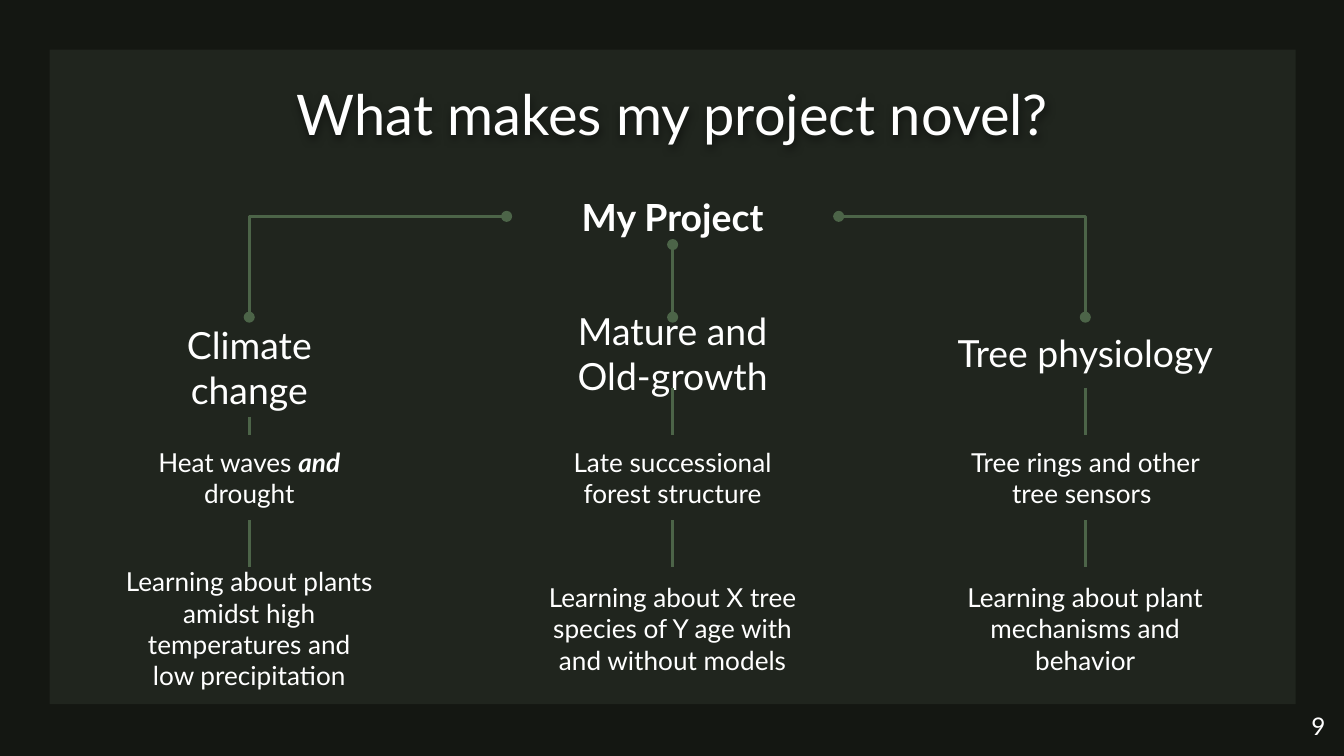
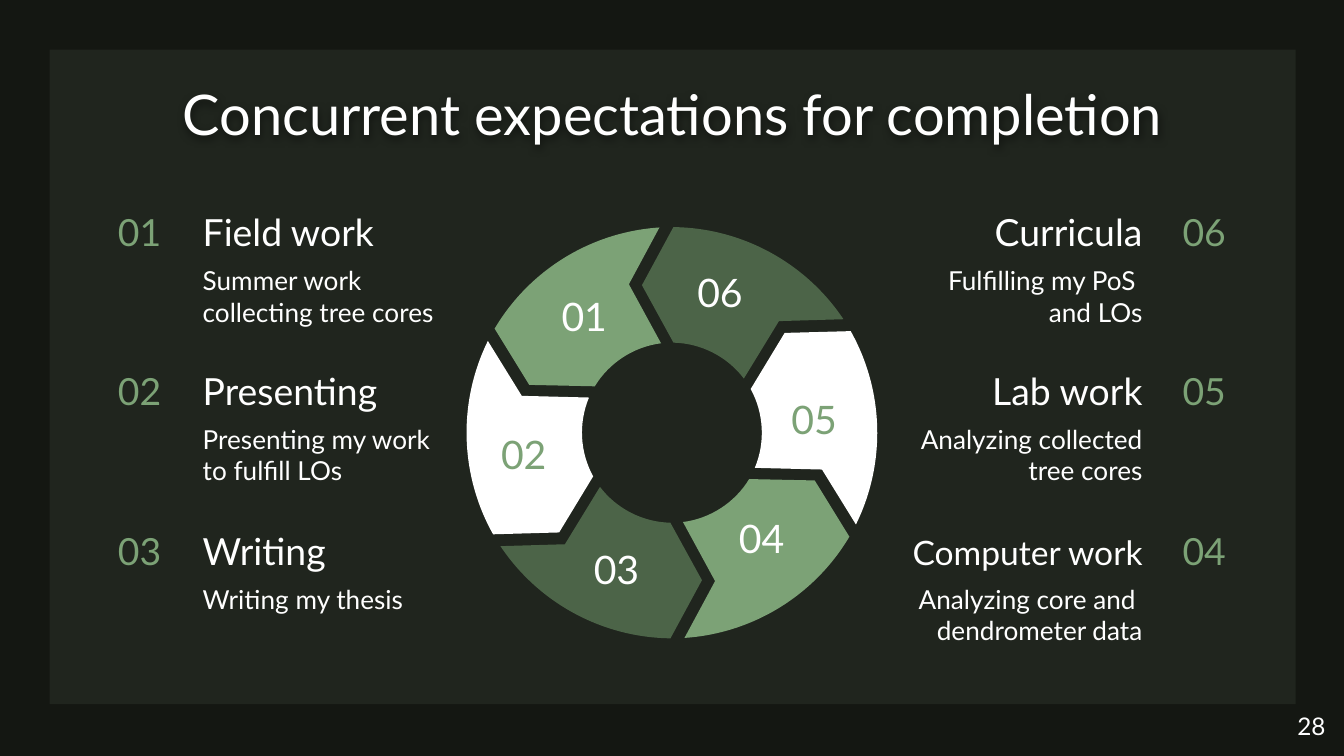
from math import cos, radians, sin

from lxml.etree import SubElement
from pptx import Presentation
from pptx.dml.color import RGBColor
from pptx.enum.shapes import MSO_CONNECTOR, MSO_SHAPE
from pptx.enum.text import MSO_ANCHOR, MSO_AUTO_SIZE, PP_ALIGN
from pptx.oxml import parse_xml
from pptx.oxml.ns import nsdecls, qn
from pptx.util import Pt

PX = 9144  # 100 px to the inch
FONT = "Lato"
HEX = {"back": "141712", "panel": "20251E", "white": "FFFFFF", "sage": "7CA276", "moss": "4C6448"}
INK = {name: RGBColor.from_string(code) for name, code in HEX.items()}
LEFT, MID, RIGHT = PP_ALIGN.LEFT, PP_ALIGN.CENTER, PP_ALIGN.RIGHT
TOP, CENTER, BASE = MSO_ANCHOR.TOP, MSO_ANCHOR.MIDDLE, MSO_ANCHOR.BOTTOM
SHADE = (
    f'<a:effectLst {nsdecls("a")}><a:outerShdw blurRad="57150" dist="19050" dir="5400000">'
    '<a:srgbClr val="000000"><a:alpha val="50000"/></a:srgbClr></a:outerShdw></a:effectLst>'
)


def fill(frame, text, size, color="white", align=MID, anchor=CENTER, bold=None):
    """Write text into a frame; parts between stars are bold italic."""
    frame.word_wrap = True
    frame.auto_size = MSO_AUTO_SIZE.NONE
    frame.vertical_anchor = anchor
    frame.margin_left = frame.margin_right = 10 * PX
    frame.margin_top = frame.margin_bottom = 10 * PX
    para = frame.paragraphs[0]
    para.alignment = align
    for row, line in enumerate(text.split("\n")):
        if row:
            para.add_line_break()
        for part, words in enumerate(line.split("*")):
            run = para.add_run()
            run.text = words
            font = run.font
            font.name, font.size = FONT, Pt(size)
            font.color.rgb = INK[color]
            font.bold = True if part % 2 else bold
            font.italic = True if part % 2 else None


def label(slide, x, y, w, h, text, size, **style):
    box = slide.shapes.add_textbox(x * PX, y * PX, w * PX, h * PX)
    fill(box.text_frame, text, size, **style)
    return box


# Shared frame: dark page, panel, title and page number
deck = Presentation()
deck.slide_width = 1000 * PX
deck.slide_height = deck.slide_width * 9 // 16
layout = deck.slide_layouts[5]
layout.background.fill.solid()
layout.background.fill.fore_color.rgb = INK["back"]

slides = []
for head, page in (("What makes my project novel?", "9"),
                   ("Concurrent expectations for completion", "28")):
    slide = deck.slides.add_slide(layout)
    title = slide.shapes.title
    title.left, title.top, title.width, title.height = 79 * PX, 49 * PX, 843 * PX, 63 * PX
    fill(title.text_frame, head, 30, anchor=TOP)
    title.element.find(qn("p:spPr")).append(parse_xml(SHADE))
    label(slide, 936, 519, 60, 43, page, 13, align=RIGHT, anchor=TOP)
    slides.append(slide)
novel, tasks = slides

panel = novel.shapes.add_shape(MSO_SHAPE.RECTANGLE, 37 * PX, 37 * PX, 927 * PX, 487 * PX)
panel.fill.solid()
panel.fill.fore_color.rgb = INK["panel"]
panel.line.fill.background()
panel.shadow.inherit = False
layout.shapes.element.insert(2, panel.element)

# Slide 1: tree of three branches
COL = 205
root = label(novel, 377, 140, 247, 42, "My Project", 20, bold=True)
branches = [
    # left, root site, topic (width, height, text), detail, goal width, goal
    (83, 1, (COL, 74, "Climate change"), "Heat waves *and *drought",
     COL, "Learning about plants amidst high temperatures and low precipitation"),
    (398, 2, (COL, 53, "Mature and Old-growth"), "Late successional forest structure",
     231, "Learning about X tree species of Y age with and without models"),
    (705, 3, (291, 53, "Tree physiology"), "Tree rings and other tree sensors ",
     COL, "Learning about plant mechanisms and behavior"),
]
for x, site, (wide, high, name), detail, span, goal in branches:
    topic = label(novel, x + (COL - wide) // 2, 236, wide, high, name, 20)
    note = label(novel, x, 324, COL, 63, detail, 14)
    aim = label(novel, x + (COL - span) // 2, 422, span, 91, goal, 14)
    for start, port, end in ((root, site, topic), (topic, 2, note), (note, 2, aim)):
        bent = port != 2
        kind = MSO_CONNECTOR.ELBOW if bent else MSO_CONNECTOR.STRAIGHT
        link = novel.shapes.add_connector(kind, 0, 0, 0, 0)
        link.begin_connect(start, port)
        link.end_connect(end, 0)
        link.line.color.rgb = INK["moss"]
        link.line.width = Pt(1.5)
        props = link.element.find(qn("p:spPr"))
        if bent:
            props.find(qn("a:prstGeom")).set("prst", "bentConnector2")
        if start is root:
            for tip in ("a:headEnd", "a:tailEnd"):
                SubElement(props.find(qn("a:ln")), qn(tip), type="oval")
        SubElement(props, qn("a:effectLst"))

# Slide 2: ring of six arrows, each turned 60 degrees from the last
HUB = (500, 322)
# One arrow as (radius, degrees clockwise from the top); both arcs are Bezier curves
arrow = [
    (153, 0.4), (161, 18.8), (161, 38.1), (153, 56.5),
    (115, 43.8),
    (67, 53), (70, 36), (70, 18), (67, 1),
    (112, -11.5),
]
CURVES = (0, 5)  # first of the three segments that make each arc
ring = [  # number, fill, text colour, number corner
    ("06", "moss", "white", 509, 196),
    ("05", "white", "sage", 579, 291),
    ("04", "sage", "white", 540, 379),
    ("03", "moss", "white", 432, 402),
    ("02", "white", "sage", 363, 317),
    ("01", "sage", "white", 408, 214),
]
group = tasks.shapes.add_group_shape()
for step, (number, tint, ink, x, y) in enumerate(ring):
    dots = []
    for size, turn in arrow:
        angle = radians(turn + 60 * step)
        dots.append((round((HUB[0] + size * sin(angle)) * PX),
                     round((HUB[1] - size * cos(angle)) * PX)))
    pen = group.shapes.build_freeform(*dots[0])
    pen.add_line_segments(dots[1:])
    piece = pen.convert_to_shape()
    lines = piece.element.findall(".//" + qn("a:lnTo"))
    for first in CURVES:
        curve = parse_xml(f'<a:cubicBezTo {nsdecls("a")}/>')
        lines[first].addprevious(curve)
        for line in lines[first:first + 3]:
            curve.append(line[0])
            line.getparent().remove(line)
    piece.fill.solid()
    piece.fill.fore_color.rgb = INK[tint]
    piece.line.fill.background()
    piece.shadow.inherit = False
    label(tasks, x, y, 60, 42, number, 21, color=ink, align=LEFT)

sides = [  # number left, text left, alignment, entries
    (78, 141, LEFT, [
        ("01", "Field work", 20, "Summer work collecting tree cores"),
        ("02", "Presenting", 20, "Presenting my work to fulfill LOs"),
        ("03", "Writing", 20, "Writing my thesis")]),
    (848, 655, RIGHT, [
        ("06", "Curricula", 20, "Fulfilling my PoS \nand LOs"),
        ("05", "Lab work", 20, "Analyzing collected tree cores"),
        ("04", "Computer work", 18, "Analyzing core and \ndendrometer data")]),
]
for edge, x, align, items in sides:
    for y, (number, name, size, detail) in zip((157, 275, 394), items):
        label(tasks, edge, y, 74, 42, number, 20, color="sage", align=align, anchor=BASE)
        label(tasks, x, y, COL, 42, name, size, align=align, anchor=BASE)
        label(tasks, x, y + 30, COL, 63, detail, 14, align=align, anchor=TOP)

deck.save("out.pptx")
